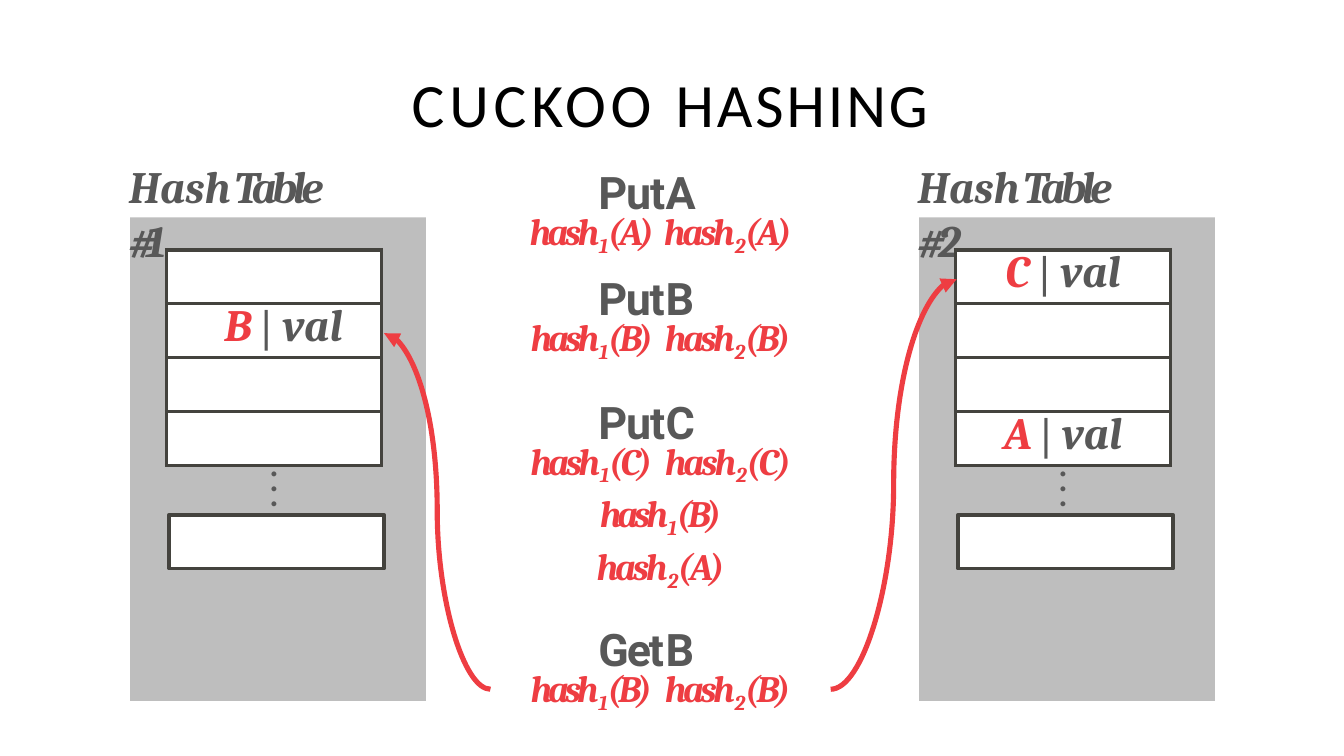
import dataclasses

import lxml.etree
import pptx
import pptx.dml.color
import pptx.enum.shapes
import pptx.enum.text
import pptx.oxml.ns
import pptx.util

Cm = pptx.util.Cm
Pt = pptx.util.Pt
CENTER = pptx.enum.text.PP_ALIGN.CENTER


@dataclasses.dataclass(frozen=True)
class Theme:
    """Colours, fonts and type sizes of the slide."""
    black: str = "000000"
    grey: str = "585858"
    red: str = "EE3D42"
    white: str = "FFFFFF"
    panel: str = "BEBEBE"
    border: str = "44433E"
    title_font: str = "Calibri"
    serif: str = "Cambria"
    sans: str = "Roboto"
    symbol: str = "Times New Roman"
    title: float = 33
    large: float = 24
    hash: float = 20
    subscript: float = 19.5


THEME = Theme()
TABLE_STEP = 14.91
SLOT_WIDTH, SLOT_HEIGHT = 4.06, 1.02


def rgb(color):
    """Turn a hex string into a colour."""
    return pptx.dml.color.RGBColor.from_string(color)


def add_xml(parent, tag, **attributes):
    """Append a drawing element to its parent."""
    return lxml.etree.SubElement(parent, pptx.oxml.ns.qn(tag), attributes)


def add_span(para, text, font, size, color, bold=False, italic=False, spacing=0, base=0):
    """Add a run with its own type settings."""
    span = para.add_run()
    span.text = text
    span.font.name, span.font.size = font, Pt(size)
    span.font.bold, span.font.italic = bold, italic
    span.font.color.rgb = rgb(color)
    properties = span.font._element
    if spacing:
        properties.set("spc", str(round(spacing * 100)))
    if base:
        properties.set("baseline", str(base * 1000))


def format_para(para, before=0, line=None, indent=0, align=None, tab=None):
    """Set the spacing, indent, alignment and tab stop of a paragraph."""
    para.space_before = Pt(before)
    if line:
        para.line_spacing = Pt(line)
    para.alignment = align
    properties = para._p.get_or_add_pPr()
    properties.set("marL", str(Cm(indent)))
    properties.set("indent", "0")
    if tab:
        stops = add_xml(properties, "a:tabLst")
        add_xml(stops, "a:tab", pos=str(Cm(tab)), algn="l")


def prepare_frame(frame):
    """Wrap the text and remove the side margins."""
    frame.word_wrap = True
    frame.margin_left = frame.margin_right = frame.margin_bottom = 0
    frame.margin_top = Cm(0.03)


def add_text_box(page, left, top, width, height):
    """Add an empty text box and return its frame."""
    box = page.shapes.add_textbox(Cm(left), Cm(top), Cm(width), Cm(height))
    prepare_frame(box.text_frame)
    return box.text_frame


def add_rectangle(page, left, top, width, height, fill, line=None):
    """Add a plain rectangle, outlined when a line colour is given."""
    box = page.shapes.add_shape(pptx.enum.shapes.MSO_SHAPE.RECTANGLE,
                                Cm(left), Cm(top), Cm(width), Cm(height))
    box.shadow.inherit = False
    box.fill.solid()
    box.fill.fore_color.rgb = rgb(fill)
    if line:
        box.line.color.rgb = rgb(line)
        box.line.width = Pt(2)
    else:
        box.line.fill.background()


def add_title(page):
    """Fill the title placeholder."""
    title = page.shapes.title
    title.left, title.top, title.width, title.height = Cm(7.75), Cm(1.35), Cm(9.8), Cm(1.17)
    frame = title.text_frame
    prepare_frame(frame)
    frame.auto_size = pptx.enum.text.MSO_AUTO_SIZE.NONE
    frame.vertical_anchor = pptx.enum.text.MSO_ANCHOR.MIDDLE
    para = frame.paragraphs[0]
    format_para(para, 1.1, indent=0.03, align=pptx.enum.text.PP_ALIGN.LEFT)
    for text, spacing in (("CUCKOO ", 2.6), ("HASHING", 1.6)):
        add_span(para, text, THEME.title_font, THEME.title, THEME.black, spacing=spacing)


def format_cell(cell):
    """Give a cell a white fill, no margins and a border on every side."""
    cell.margin_left = cell.margin_right = cell.margin_top = cell.margin_bottom = 0
    properties = cell._tc.get_or_add_tcPr()
    for side in ("a:lnL", "a:lnR", "a:lnT", "a:lnB"):
        border = add_xml(properties, side, w=str(Pt(2.25)))
        add_xml(add_xml(border, "a:solidFill"), "a:srgbClr", val=THEME.border)
    cell.fill.solid()
    cell.fill.fore_color.rgb = rgb(THEME.white)


def add_slots(page, left, top, entries, align, indent):
    """Add the table of four slots; entries maps a row to its key."""
    frame = page.shapes.add_table(4, 1, Cm(left), Cm(top), Cm(SLOT_WIDTH), Cm(4 * SLOT_HEIGHT))
    table = frame.table
    table.first_row = table.horz_banding = False
    for row in range(4):
        cell = table.cell(row, 0)
        format_cell(cell)
        if row in entries:
            para = cell.text_frame.paragraphs[0]
            format_para(para, line=26.4, indent=indent, align=align)
            add_span(para, entries[row] + " ", THEME.serif, THEME.large, THEME.red, True, True)
            add_span(para, "| ", THEME.symbol, THEME.large, THEME.grey, True)
            add_span(para, "val", THEME.serif, THEME.large, THEME.grey, True, True)


def add_hash_table(page, offset, number, number_spacing, label_width, entries,
                   align=None, indent=0):
    """Draw one hash table: panel, label, slots, dots and last slot."""
    add_rectangle(page, 2.46 + offset, 4.11, 5.59, 9.14, THEME.panel)
    para = add_text_box(page, 2.41 + offset, 2.97, label_width, 1.09).paragraphs[0]
    format_para(para, 1, indent=0.03)
    for text, spacing in (("H", -1.6), ("a", -1.4), ("s", -2.6), ("h ", -3.4),
                          ("Table ", -2.5), (number, number_spacing)):
        add_span(para, text, THEME.serif, THEME.large, THEME.grey, True, True, spacing)
    add_rectangle(page, 3.2 + offset, 9.73, SLOT_WIDTH, SLOT_HEIGHT, THEME.white, THEME.border)
    para = add_text_box(page, 5.05 + offset, 8.69, 0.33, 1.09).paragraphs[0]
    format_para(para, 1, indent=0.03)
    add_span(para, "\u22ee", THEME.symbol, THEME.large, THEME.grey)
    add_slots(page, 3.15 + offset, 4.72, entries, align, indent)


def add_hash(para, number, key, spacing, subscript_spacing, ending=""):
    """Write one hash call with a subscript number."""
    for text, size, gap, base in (("hash", THEME.hash, spacing, 0),
                                  (number, THEME.subscript, subscript_spacing, -21),
                                  (f"({key}){ending}", THEME.hash, spacing, 0)):
        add_span(para, text, THEME.serif, size, THEME.red, True, True, gap, base)


def add_operation(frame, verb, key, before, gaps, first, second, hash_tab):
    """Write a command line and, below it, its two hash calls."""
    para = frame.add_paragraph() if frame.text else frame.paragraphs[0]
    format_para(para, before, 25.7, 1.96, tab=3.65)
    for text, spacing in zip((verb + "\t", key), gaps):
        add_span(para, text, THEME.sans, THEME.large, THEME.grey, True, spacing=spacing)
    para = frame.add_paragraph()
    format_para(para, line=20.9, align=CENTER, tab=hash_tab)
    add_hash(para, "1", key, *first, ending="\t")
    add_hash(para, "2", key, *second)


def add_operations(page):
    """Write the list of operations between the two tables."""
    frame = add_text_box(page, 9.35, 3.2, 6.27, 10.19)
    add_operation(frame, "Put", "A", 1, (-0.6, -3.2), (-1.9, -2.9), (-1.7, -2.5), 2.87)
    add_operation(frame, "Put", "B", 10.2, (-0.7, -2.3), (-2.1, -3.2), (-1.9, -2.8), 2.97)
    add_operation(frame, "Put", "C", 19.4, (-0.6, -2.7), (-1.9, -2.8), (-1.6, -2.5), 2.97)
    for call in (("1", "B", -2.2, -3.3), ("2", "A", -1.7, -2.5)):
        para = frame.add_paragraph()
        format_para(para, 1.9, align=CENTER)
        add_hash(para, *call)
    add_operation(frame, "Get", "B", 18.7, (-1.1, -2.3), (-2.2, -3.3), (-1.9, -2.9), 3.66)


def add_arrow(page, *ends):
    """Draw a curved arrow from a hash call to a slot."""
    arrow = page.shapes.add_connector(pptx.enum.shapes.MSO_CONNECTOR.CURVE, *map(Cm, ends))
    arrow.line.color.rgb = rgb(THEME.red)
    arrow.line.width = Pt(2.75)
    add_xml(arrow.line._get_or_add_ln(), "a:tailEnd", type="triangle")
    add_xml(arrow._element.spPr, "a:effectLst")


def main():
    """Build and save the slide."""
    deck = pptx.Presentation()
    deck.slide_width, deck.slide_height = Cm(25.4), Cm(14.29)
    page = deck.slides.add_slide(deck.slide_layouts[5])
    add_title(page)
    add_hash_table(page, 0, "#1", -5.3, 4.37, {1: "B"}, indent=1.09)
    add_hash_table(page, TABLE_STEP, "#2", -3.6, 4.47, {0: "C", 3: "A"}, align=CENTER)
    add_operations(page)
    add_arrow(page, 9.27, 13.03, 7.26, 6.3)
    add_arrow(page, 15.7, 13.03, 18.08, 5.28)
    deck.save("out.pptx")


main()
